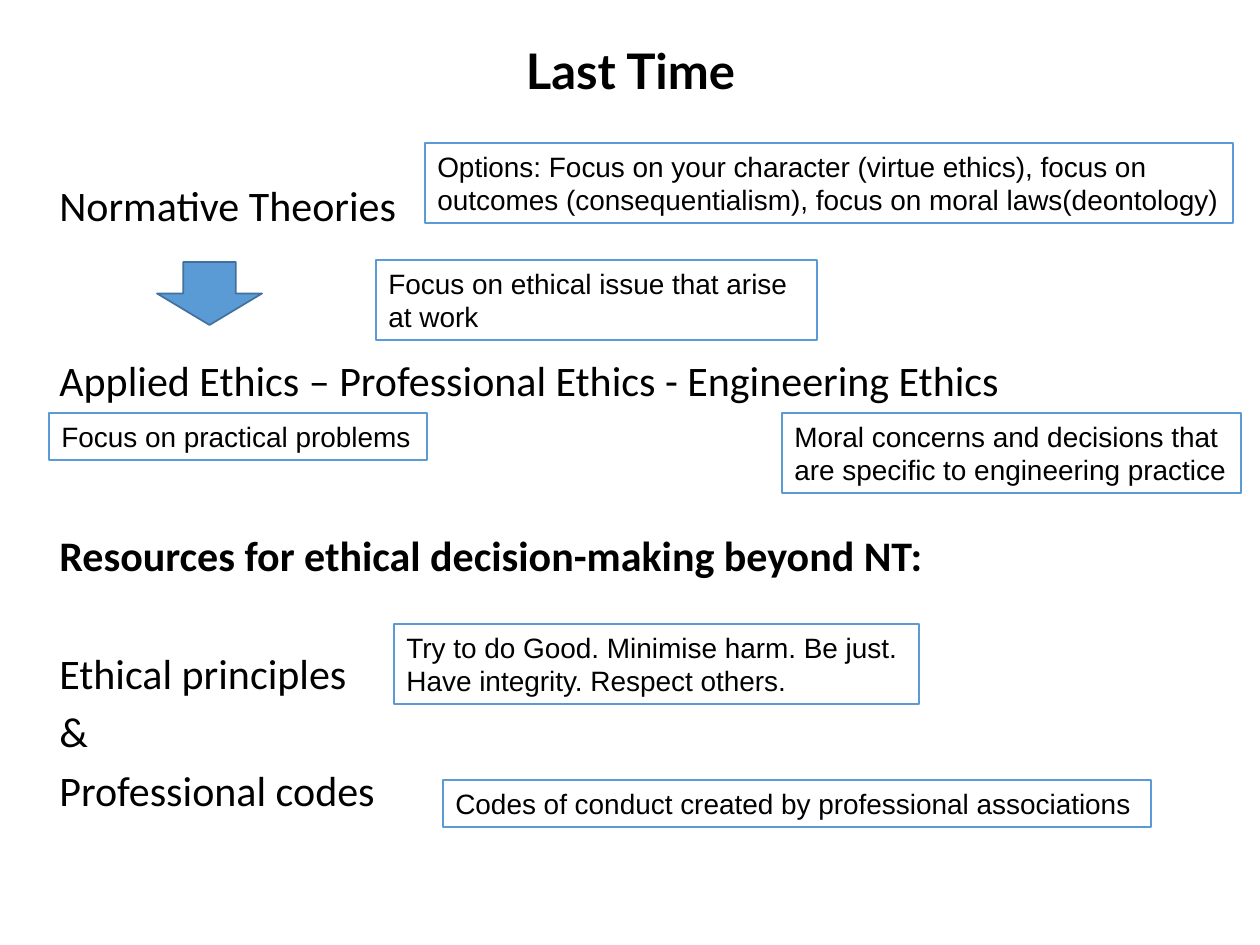
"""Build the "Last Time" ethics recap slide."""
from dataclasses import dataclass

from pptx import Presentation
from pptx.dml.color import RGBColor
from pptx.enum.shapes import MSO_SHAPE
from pptx.enum.text import MSO_ANCHOR, MSO_AUTO_SIZE, PP_ALIGN
from pptx.util import Emu, Pt

SCALE = 914400 / 126
HUES = {"ink": "000000", "paper": "FFFFFF", "blue": "5B9BD5", "edge": "41719C"}


@dataclass
class Box:
    left: int
    top: int
    width: int
    height: int


@dataclass
class Note:
    box: Box
    lines: list[str]
    wrap: bool = False
    solid: bool = True


@dataclass
class Point:
    text: str
    gap: float = 7.5
    bold: bool = False


POINTS = [
    Point("Normative Theories", 0),
    Point("Applied Ethics – Professional Ethics - Engineering Ethics", 74),
    Point("Resources for ethical decision-making beyond NT:", 74, True),
    Point("Ethical principles", 41.5),
    Point("&"),
    Point("Professional codes"),
]
NOTES = [
    Note(Box(425, 143, 808, 80),
         ["Options: Focus on your character (virtue ethics), focus on",
          "outcomes (consequentialism), focus on moral laws(deontology)"]),
    Note(Box(394, 624, 525, 80),
         ["Try to do Good. Minimise harm. Be just.",
          "Have integrity. Respect others."], wrap=True),
    Note(Box(443, 780, 708, 47),
         ["Codes of conduct created by professional associations"], wrap=True),
    Note(Box(49, 413, 378, 47), ["Focus on practical problems"]),
    Note(Box(782, 413, 459, 80),
         ["Moral concerns and decisions that",
          "are specific to engineering practice"]),
    Note(Box(376, 260, 441, 80),
         ["Focus on ethical issue that arise at work"], wrap=True, solid=False),
]


def px(size: int) -> Emu:
    return Emu(round(size * SCALE))


def hue(name: str) -> RGBColor:
    return RGBColor.from_string(HUES[name])


def area(box: Box) -> tuple[Emu, ...]:
    return px(box.left), px(box.top), px(box.width), px(box.height)


def style(para, name: str, size: int, bold: bool = False) -> None:
    font = para.font
    font.name, font.size, font.bold = name, Pt(size), bold
    font.color.rgb = hue("ink")


def paint(shape, fill: str, line: str, width: float) -> None:
    shape.fill.solid()
    shape.fill.fore_color.rgb = hue(fill)
    shape.line.color.rgb = hue(line)
    shape.line.width = Pt(width)


def draw_title(slide, box: Box, text: str) -> None:
    title = slide.shapes.title
    title.left, title.top, title.width, title.height = area(box)
    frame = title.text_frame
    frame.text = text
    frame.vertical_anchor = MSO_ANCHOR.MIDDLE
    para = frame.paragraphs[0]
    para.alignment, para.line_spacing = PP_ALIGN.CENTER, 0.9
    style(para, "Lato", 28, True)


def draw_points(slide, box: Box, points: list[Point]) -> None:
    frame = slide.shapes.add_textbox(*area(box)).text_frame
    frame.word_wrap = True
    frame.text = "\n".join(point.text for point in points)
    for para, point in zip(frame.paragraphs, points):
        para.line_spacing = 0.9
        para.space_before = Pt(point.gap)
        style(para, "Calibri", 24, point.bold)


def draw_arrow(slide, box: Box) -> None:
    arrow = slide.shapes.add_shape(MSO_SHAPE.DOWN_ARROW, *area(box))
    arrow.shadow.inherit = False
    paint(arrow, "blue", "edge", 1)


def draw_note(slide, note: Note) -> None:
    shape = slide.shapes.add_textbox(*area(note.box))
    paint(shape, "paper", "blue", 0.75)
    if not note.solid:
        shape.fill.background()
    frame = shape.text_frame
    frame.word_wrap = note.wrap
    frame.auto_size = MSO_AUTO_SIZE.SHAPE_TO_FIT_TEXT
    frame.text = "\n".join(note.lines)
    for para in frame.paragraphs:
        style(para, "Arial", 16)


def main() -> None:
    deck = Presentation()
    deck.slide_width, deck.slide_height = px(1260), px(945)
    slide = deck.slides.add_slide(deck.slide_layouts[5])
    draw_title(slide, Box(87, 32, 1087, 83), "Last Time")
    draw_points(slide, Box(47, 179, 1165, 721), POINTS)
    draw_arrow(slide, Box(157, 262, 105, 63))
    for note in NOTES:
        draw_note(slide, note)
    deck.save("out.pptx")


if __name__ == "__main__":
    main()
